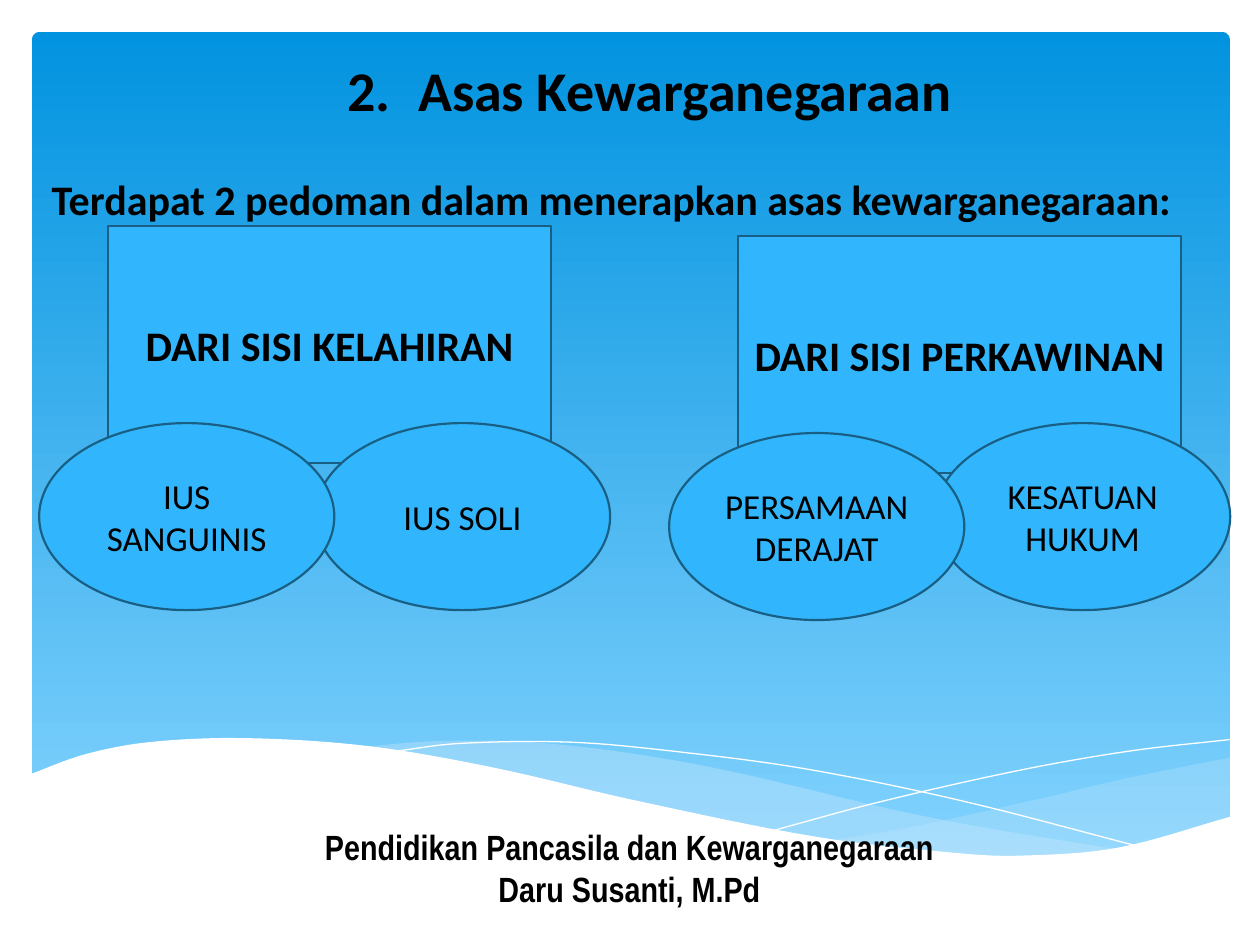
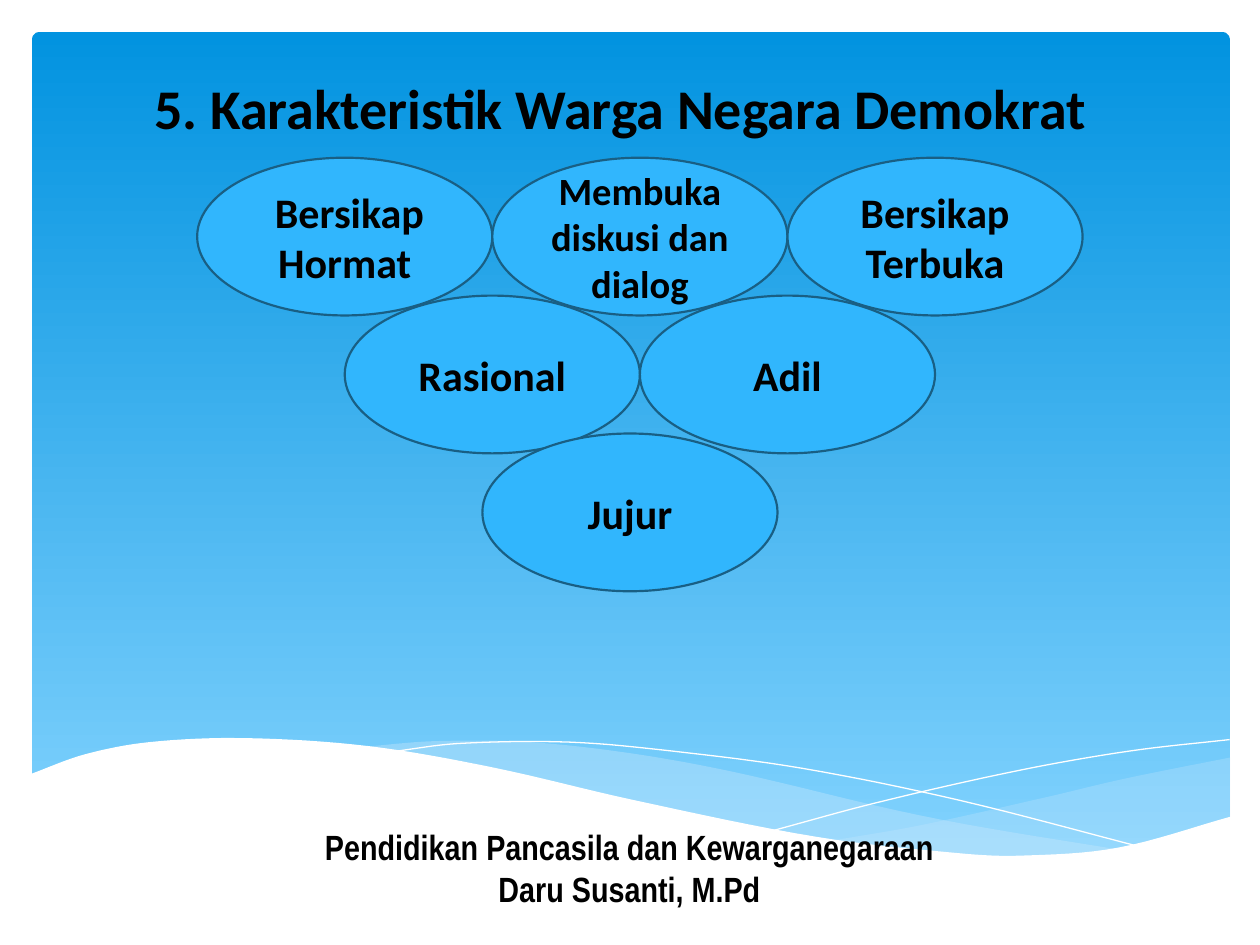
"""Two civics slides on citizenship over a shared wave backdrop."""
import pptx
import pptx.dml.color
import pptx.enum.shapes
import pptx.enum.text
import pptx.oxml
import pptx.oxml.ns
import pptx.util
from lxml import etree

Cm, Pt = pptx.util.Cm, pptx.util.Pt
KIND = pptx.enum.shapes.MSO_SHAPE
ALIGN = pptx.enum.text.PP_ALIGN
ANCHOR = pptx.enum.text.MSO_ANCHOR
qn = pptx.oxml.ns.qn

HEX = {"top": "0293E0", "base": "83D3FE", "haze": "C6E7FC", "white": "FFFFFF",
       "fill": "31B6FD", "edge": "195F84", "ink": "000000"}
RGB = {name: pptx.dml.color.RGBColor.from_string(code) for name, code in HEX.items()}


def write(shape, text, size=24, bold=True, font="Calibri", align=ALIGN.CENTER,
          anchor=ANCHOR.TOP, start=None):
    frame = shape.text_frame
    frame.text = text
    frame.word_wrap = True
    frame.auto_size = pptx.enum.text.MSO_AUTO_SIZE.NONE
    frame.vertical_anchor = anchor
    for para in frame.paragraphs:
        para.alignment = align
        if start:
            props = para._p.get_or_add_pPr()
            props.set("marL", str(Cm(1.43)))
            props.set("indent", str(-Cm(1.43)))
            etree.SubElement(props, qn("a:buFont"), typeface="+mj-lt")
            etree.SubElement(props, qn("a:buAutoNum"), type="arabicPeriod", startAt=str(start))
        para.font.size = Pt(size)
        para.font.bold = bold
        para.font.name = font
        para.font.color.rgb = RGB["ink"]


def label(slide, kind, box, text, **style):
    shape = slide.shapes.add_shape(kind, *map(Cm, box))
    shape.shadow.inherit = False
    shape.fill.solid()
    shape.fill.fore_color.rgb = RGB["fill"]
    shape.line.color.rgb = RGB["edge"]
    shape.line.width = Pt(1.25)
    write(shape, text, anchor=ANCHOR.MIDDLE, **style)


deck = pptx.Presentation()
deck.slide_width, deck.slide_height = Cm(25.4), Cm(19.05)
plan = deck.slide_layouts[5]

TITLES = [
    ("Asas Kewarganegaraan", (0.79, 0.99, 24.61, 1.63), 2),
    ("5. Karakteristik Warga Negara Demokrat", (0.71, 1.35, 23.6, 1.63), None),
]
slides = []
for text, box, start in TITLES:
    slide = deck.slides.add_slide(plan)
    title = slide.shapes.title
    title.left, title.top, title.width, title.height = map(Cm, box)
    write(title, text, size=32, start=start)
    foot = slide.shapes.add_textbox(Cm(0.89), Cm(16.51), Cm(23.6), Cm(1.96))
    write(foot, "Pendidikan Pancasila dan Kewarganegaraan\nDaru Susanti, M.Pd",
          size=20, font="Arial Narrow")
    slides.append(slide)
law, traits = slides

panel = law.shapes.add_shape(KIND.ROUNDED_RECTANGLE, Cm(0.64), Cm(0.64), Cm(24.16), Cm(16.76))
panel.adjustments[0] = 0.01
panel.fill.gradient()
panel.fill.gradient_angle = 270
for stop, name in zip(panel.fill.gradient_stops, ("top", "base")):
    stop.color.rgb = RGB[name]
panel.line.fill.background()
back = [panel]

KNOTS = {
    "side top": [(16.81, 16.94), (18.54, 16.64), (21.18, 16.05), (22.66, 15.7), (24.8, 15.27)],
    "side low": [(16.81, 16.94), (18.62, 17.17), (20.7, 17.27), (22.61, 17.12), (24.8, 16.48)],
    "band top": [(7.29, 15.06), (8.76, 14.94), (10.67, 14.96), (12.75, 15.19),
                 (14.83, 15.57), (17.96, 16.31), (19.71, 16.66), (22.71, 17.15)],
    "band low": [(7.29, 15.06), (9.22, 15.34), (11.43, 15.85), (14.86, 16.61),
                 (17.3, 17.02), (19.35, 17.25), (20.93, 17.27), (22.71, 17.15)],
    "fall": [(7.87, 15.16), (9.22, 14.99), (11.46, 14.96), (13.54, 15.14),
             (16.18, 15.49), (19.33, 16.13), (23.06, 17.09)],
    "rise": [(15.6, 16.74), (17.68, 16.18), (20.5, 15.54), (22.78, 15.14), (24.79, 14.91)],
    "crest": [(0.58, 15.62), (1.7, 15.21), (3.02, 14.96), (4.95, 14.88), (7.42, 15.04),
              (9.93, 15.47), (12.78, 16.13), (16.46, 16.87), (19.33, 17.2),
              (20.55, 17.25), (22.53, 17.09), (24.82, 16.46)],
    "floor": [(0.58, 18.57), (24.82, 18.57)],
}
STEPS = 8
curves = {}
for name, knots in KNOTS.items():
    ends = [knots[0], *knots, knots[-1]]
    slopes = [(after[1] - before[1]) / (after[0] - before[0])
              for before, after in zip(ends, ends[2:])]
    dots = [knots[0]]
    for (x0, y0), (x1, y1), m0, m1 in zip(knots, knots[1:], slopes, slopes[1:]):
        span = x1 - x0
        for step in range(1, STEPS + 1):
            t = step / STEPS
            blend = t * t * (3 - 2 * t)
            bend = span * t * (1 - t) * (m0 * (1 - t) - m1 * t)
            dots.append((x0 + span * t, y0 + (y1 - y0) * blend + bend))
    curves[name] = [(Cm(x), Cm(y)) for x, y in dots]

WAVES = [
    ("side top", "side low", "haze", 29),
    ("band top", "band low", "haze", 40),
    ("fall", None, None, 100),
    ("rise", None, None, 100),
    ("crest", "floor", "white", 100),
]
for upper, lower, fill, alpha in WAVES:
    dots = curves[upper] + (curves[lower][::-1] if lower else [])
    pen = law.shapes.build_freeform(*dots[0])
    pen.add_line_segments(dots[1:], close=bool(lower))
    wave = pen.convert_to_shape()
    if fill:
        wave.fill.solid()
        wave.fill.fore_color.rgb = RGB[fill]
        wave.line.fill.background()
    else:
        wave.fill.background()
        wave.line.color.rgb = RGB["white"]
        wave.line.width = Pt(0)
    if alpha < 100:
        tint = wave.element.find(".//" + qn("a:srgbClr"))
        etree.SubElement(tint, qn("a:alpha"), val=str(alpha * 1000))
    back.append(wave)

first = plan.placeholders[0].element
for shape in back:
    shape.shadow.inherit = False
    first.addprevious(shape.element)

intro = law.shapes.add_textbox(Cm(0.79), Cm(3.38), Cm(24.61), Cm(1.28))
write(intro, "Terdapat 2 pedoman dalam menerapkan asas kewarganegaraan:", align=ALIGN.LEFT)

SIDES = [
    ("DARI SISI KELAHIRAN", 2.18, 4.56,
     [("IUS SOLI", 6.35, 8.53), ("IUS SANGUINIS", 0.79, 8.53)]),
    ("DARI SISI PERKAWINAN", 14.88, 4.76,
     [("KESATUAN HUKUM", 18.85, 8.53), ("PERSAMAAN DERAJAT", 13.49, 8.73)]),
]
WIDE = 5.95
for side, left, top, rules in SIDES:
    label(law, KIND.RECTANGLE, (left, top, 8.93, 4.77), side)
    for text, x, y in rules:
        label(law, KIND.OVAL, (x, y, WIDE, 3.77), text, size=20, bold=False)

ROWS = [
    (12.9, [(" Bersikap Hormat", 24), ("Membuka diskusi dan dialog", 22),
            ("Bersikap Terbuka", 24)]),
    (12.9, [("Rasional", 24), ("Adil", 24)]),
    (12.7, [("Jujur", 24)]),
]
for row, (mid, items) in enumerate(ROWS):
    left = mid - WIDE * len(items) / 2
    for col, (text, size) in enumerate(items):
        box = (left + WIDE * col, 3.18 + 2.78 * row, WIDE, 3.18)
        label(traits, KIND.OVAL, box, text, size=size)

deck.save("out.pptx")
